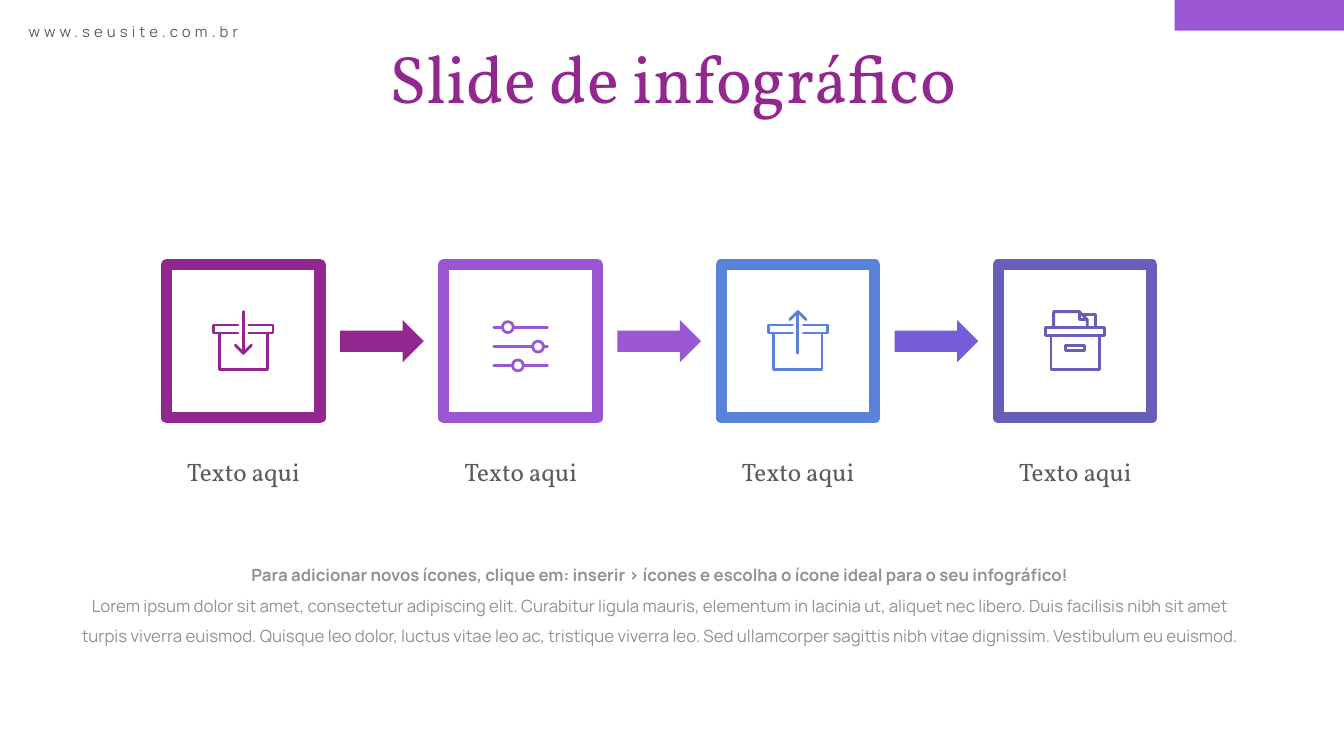
from math import cos, pi, sin

from lxml import etree
from pptx import Presentation
from pptx.dml.color import RGBColor
from pptx.enum import shapes, text
from pptx.oxml.ns import qn
from pptx.util import Cm, Pt

SERIF, SANS = "Vollkorn", "Manrope"
GREY, PALE, LILAC = "5C5C5C", "929292", "9B57D3"
TITLE = "Slide de infográfico"
SITE = "www.seusite.com.br"
NOTES = [
    ("Para adicionar novos ícones, clique em: inserir > ícones e escolha "
     "o ícone ideal para o seu infográfico!", True),
    ("Lorem ipsum dolor sit amet, consectetur adipiscing elit. Curabitur ligula "
     "mauris, elementum in lacinia ut, aliquet nec libero. Duis facilisis nibh "
     "sit amet turpis viverra euismod. Quisque leo dolor, luctus vitae leo ac, "
     "tristique viverra leo. Sed ullamcorper sagittis nibh vitae dignissim. "
     "Vestibulum eu euismod.", False),
]


def rect(x1, y1, x2, y2):
    return [(x1, y1), (x2, y1), (x2, y2), (x1, y2), (x1, y1)]


def ring(x, y, r=4, n=24):
    return [(x + r * cos(2 * pi * i / n), y + r * sin(2 * pi * i / n))
            for i in range(n + 1)]


def slider(x, y):
    return [[(-20, y), (x - 4, y)], ring(x, y), [(x + 4, y), (20, y)]]


# Icon strokes, in hundredths of an inch from the icon's centre
BODY = [(-18, -6), (-18, 21), (18, 21), (18, -6)]
LID = [[(4 * s, -12), (22 * s, -12), (22 * s, -6), (4 * s, -6)] for s in (-1, 1)]
CRATE = [BODY, *LID, [(0, -22), (0, 9)]]
SAVE = CRATE + [[(-6, 3), (0, 9), (6, 3)]]
SEND = CRATE + [[(-6, -16), (0, -22), (6, -16)]]
TUNE = slider(-9.5, -10.5) + slider(13, 4) + slider(-2, 18)
FILES = [
    rect(-22, -10, 22, -4), rect(-18, -4, 18, 21), rect(-7, 3, 7, 7),
    [(-16, -10), (-16, -22), (3, -22), (9, -16), (9, -10)],
    [(3, -22), (3, -16), (9, -16)],
    [(6, -20), (15, -20), (15, -10)],
]

# Label, frame colour, icon, colour of the arrow to the next step
STEPS = [
    ("Texto aqui", "92278F", SAVE, "92278F"),
    ("Texto aqui", LILAC, TUNE, LILAC),
    ("Texto aqui", "5982DB", SEND, "755DD9"),
    ("Texto aqui", "665EB8", FILES, None),
]
LEFT, TOP, SIDE, PITCH = 3.15, 5, 2.9, 5.24
UNIT = 2.54 / 100


def rgb(code):
    return RGBColor.from_string(code)


def shape(kind, x, y, w, h, fill=None, line=None):
    item = slide.shapes.add_shape(kind, Cm(x), Cm(y), Cm(w), Cm(h))
    paint(item, fill, line, 6)


def paint(item, fill, line, width):
    item.shadow.inherit = False
    if fill:
        item.fill.solid()
        item.fill.fore_color.rgb = rgb(fill)
    else:
        item.fill.background()
    if line:
        item.line.color.rgb = rgb(line)
        item.line.width = Pt(width)
    else:
        item.line.fill.background()


def write(box, paras, font, size, color, wrap=False, center=True, space=None):
    """Fill a text frame with (words, bold) paragraphs."""
    frame = box.text_frame
    frame.word_wrap = wrap
    frame.auto_size = text.MSO_AUTO_SIZE.SHAPE_TO_FIT_TEXT
    frame.vertical_anchor = text.MSO_ANCHOR.TOP
    frame.margin_left = frame.margin_right = Cm(0.19)
    frame.margin_top = frame.margin_bottom = Cm(0.1)
    for i, (words, bold) in enumerate(paras):
        para = frame.add_paragraph() if i else frame.paragraphs[0]
        para.text = words
        para.alignment = text.PP_ALIGN.CENTER if center else text.PP_ALIGN.LEFT
        if space:
            para.line_spacing = space
        para.font.name, para.font.size, para.font.bold = font, Pt(size), bold
        para.font.color.rgb = rgb(color)


def textbox(x, y, w, h):
    return slide.shapes.add_textbox(Cm(x), Cm(y), Cm(w), Cm(h))


def icon(strokes, x, y, color):
    """Draw open strokes around the centre x, y as one freeform."""
    paths = [[(Cm(x + a * UNIT), Cm(y + b * UNIT)) for a, b in s] for s in strokes]
    pen = slide.shapes.build_freeform(*paths[0][0])
    for path in paths:
        pen.move_to(*path[0])
        pen.add_line_segments(path[1:], close=False)
    item = pen.convert_to_shape()
    paint(item, None, color, 1.5)
    line = item.element.spPr.find(qn("a:ln"))
    line.set("cap", "rnd")
    etree.SubElement(line, qn("a:round"))


deck = Presentation()
deck.slide_width, deck.slide_height = Cm(25.4), Cm(14.29)
slide = deck.slides.add_slide(deck.slide_layouts[5])
RECT, ARROW = shapes.MSO_SHAPE.RECTANGLE, shapes.MSO_SHAPE.RIGHT_ARROW

shape(RECT, 22.2, 0, 3.2, 0.58, LILAC)
title = slide.shapes.title
title.left, title.top, title.width, title.height = Cm(6.88), Cm(0.58), Cm(11.66), Cm(1.8)
write(title, [(TITLE, False)], SERIF, 36, "92278F")

mid = TOP + SIDE / 2
for i, (label, color, strokes, arrow) in enumerate(STEPS):
    x = LEFT + i * PITCH
    shape(RECT, x, TOP, SIDE, SIDE, line=color)
    icon(strokes, x + SIDE / 2, mid, color)
    write(textbox(x + 0.05, 8.53, 2.8, 0.83), [(label, False)], SERIF, 13.5, GREY)
    if arrow:
        shape(ARROW, x + 3.28, mid - 0.4, 1.58, 0.8, arrow)

write(textbox(1.12, 10.39, 22.68, 1.93), NOTES, SANS, 9, PALE, wrap=True, space=1.5)
site = textbox(0.35, 0.33, 4.6, 0.61)
write(site, [(SITE, False)], SANS, 8, GREY, center=False)
site.text_frame.paragraphs[0].runs[0].font  # creates the run properties
site.text_frame.paragraphs[0].runs[0]._r.get_or_add_rPr().set("spc", "220")

deck.save("out.pptx")
